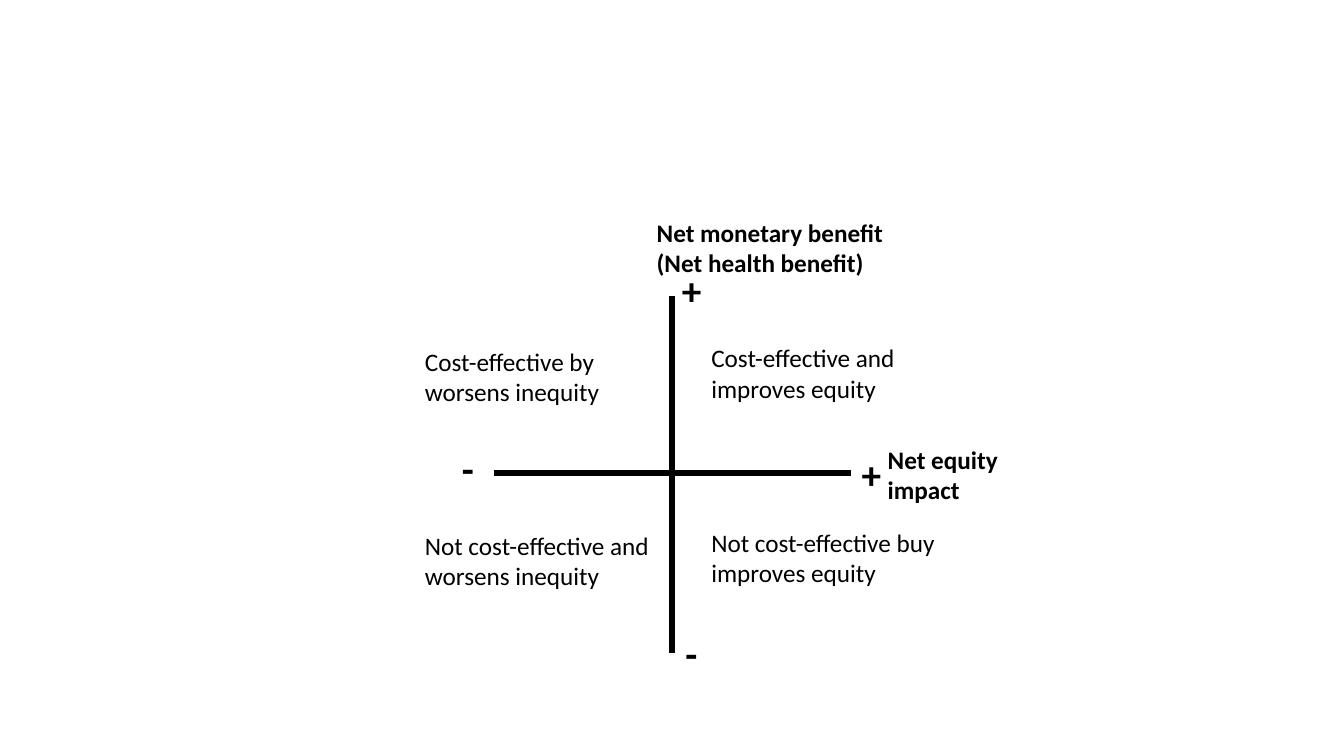
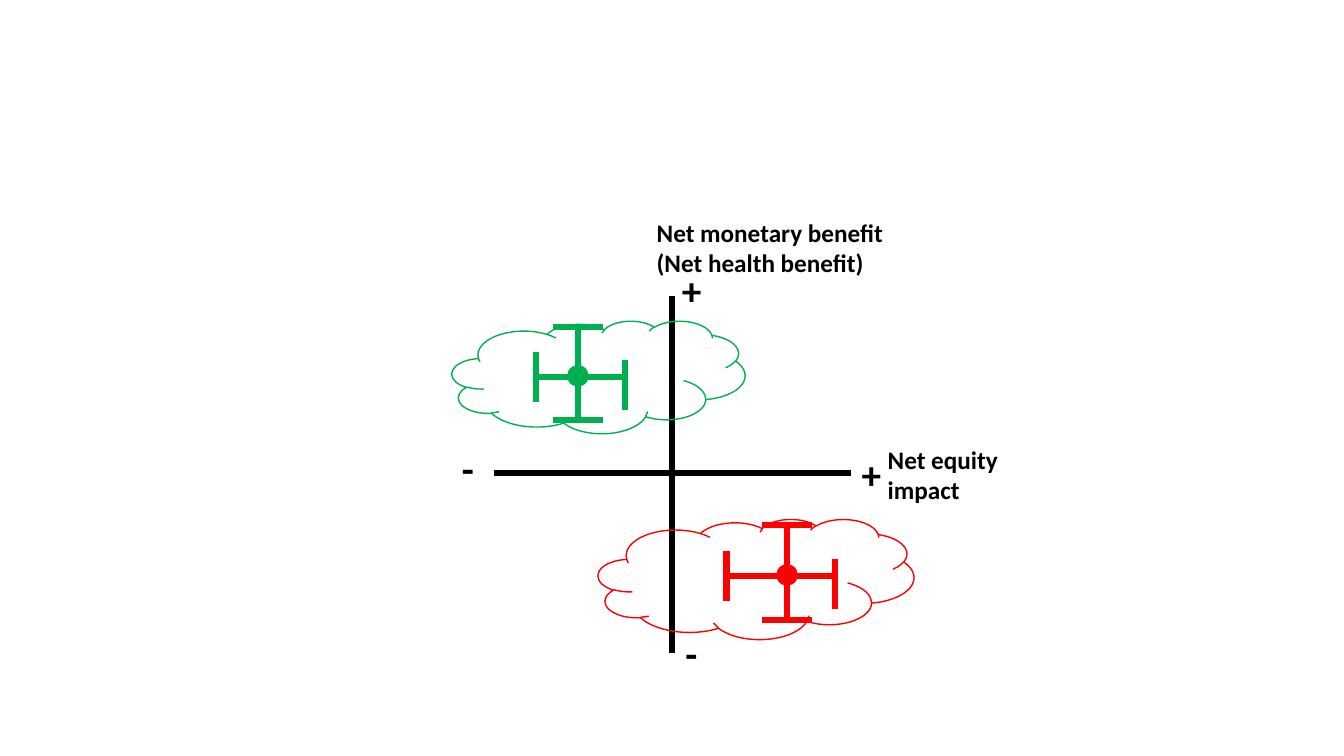
from dataclasses import dataclass
from typing import NamedTuple

from lxml.etree import SubElement
from pptx import Presentation
from pptx.dml.color import RGBColor
from pptx.enum.shapes import MSO_CONNECTOR, MSO_SHAPE
from pptx.oxml.ns import qn
from pptx.slide import Slide
from pptx.util import Inches, Pt

COLUMNS, ROWS = 160, 90
SLIDE_WIDTH, SLIDE_HEIGHT = Inches(13.33), Inches(7.5)


@dataclass(frozen=True)
class Theme:
    font: str = "Calibri"
    ink: RGBColor = RGBColor(0, 0, 0)
    green: RGBColor = RGBColor(0, 0xB0, 0x50)
    red: RGBColor = RGBColor(0xFF, 0, 0)
    label_size: int = 18
    sign_size: int = 28
    thick_line: float = 4.5
    thin_line: float = 1


THEME = Theme()


class Box(NamedTuple):
    """A rectangle in grid columns and rows."""
    left: float
    top: float
    width: float
    height: float

    def lengths(self) -> tuple[int, int, int, int]:
        return (column(self.left), row(self.top),
                column(self.width), row(self.height))


class Label(NamedTuple):
    text: str
    left: float
    top: float
    width: float = 31
    height: float = 8.5
    size: int = THEME.label_size
    bold: bool = False


class Estimate(NamedTuple):
    """A point with error bars in both directions, inside a cloud."""
    color: RGBColor
    x: float
    y: float
    left: float
    right: float
    top: float
    bottom: float
    cloud: Box


def sign(text: str, left: float, top: float) -> Label:
    return Label(text, left, top, 6.4, 6.8, THEME.sign_size, True)


AXIS_LABELS = (
    Label("Net monetary benefit\n(Net health benefit)", 77, 25.3, bold=True),
    sign("+", 80, 31.1),
    sign("-", 80.4, 74.3),
    Label("Net equity impact", 104.5, 52.3, width=18, bold=True),
    sign("+", 101.4, 53),
    sign("-", 53.8, 52.3),
)
QUADRANT_LABELS = (
    Label("Cost-effective and improves equity", 83.5, 40.2),
    Label("Cost-effective by worsens inequity", 49.4, 40.6),
    Label("Not cost-effective buy improves equity", 83.5, 62.2),
    Label("Not cost-effective and worsens inequity", 49.4, 62.5),
)
ESTIMATES = (
    Estimate(THEME.green, 68.8, 44.9, 63.8, 74.4, 38.9, 50,
             Box(53.8, 38.2, 34.9, 13.4)),
    Estimate(THEME.red, 93.7, 68.6, 86.5, 99.4, 62.5, 73.8,
             Box(71.2, 61.8, 37.6, 14.3)),
)
CAP_REACH = 3
RIGHT_CAP_DROP = 0.95
DOT_SIZE = 2.4


def column(count: float) -> int:
    return round(SLIDE_WIDTH * count / COLUMNS)


def row(count: float) -> int:
    return round(SLIDE_HEIGHT * count / ROWS)


def add_line(slide: Slide, x1: float, y1: float, x2: float, y2: float,
             color: RGBColor) -> None:
    connector = slide.shapes.add_connector(
        MSO_CONNECTOR.STRAIGHT, column(x1), row(y1), column(x2), row(y2))
    connector.line.color.rgb = color
    connector.line.width = Pt(THEME.thick_line)
    SubElement(connector.element.spPr, qn("a:effectLst"))


def add_shape(slide: Slide, kind: MSO_SHAPE, box: Box, color: RGBColor,
              filled: bool) -> None:
    shape = slide.shapes.add_shape(kind, *box.lengths())
    shape.shadow.inherit = False
    shape.line.color.rgb = color
    shape.line.width = Pt(THEME.thin_line)
    if filled:
        shape.fill.solid()
        shape.fill.fore_color.rgb = color
    else:
        shape.fill.background()


def add_label(slide: Slide, label: Label) -> None:
    box = Box(label.left, label.top, label.width, label.height)
    frame = slide.shapes.add_textbox(*box.lengths()).text_frame
    frame.word_wrap = True
    frame.text = label.text
    for paragraph in frame.paragraphs:
        font = paragraph.font
        font.name = THEME.font
        font.size = Pt(label.size)
        font.bold = label.bold
        font.color.rgb = THEME.ink


def add_estimate(slide: Slide, estimate: Estimate) -> None:
    color, x, y, left, right, top, bottom, cloud = estimate
    add_shape(slide, MSO_SHAPE.CLOUD, cloud, color, filled=False)
    add_line(slide, x, top, x, bottom, color)
    add_line(slide, left, y, right, y, color)
    for cap_y in (top, bottom):
        add_line(slide, x - CAP_REACH, cap_y, x + CAP_REACH, cap_y, color)
    for cap_x, middle in ((left, y), (right, y + RIGHT_CAP_DROP)):
        add_line(slide, cap_x, middle - CAP_REACH,
                 cap_x, middle + CAP_REACH, color)
    dot = Box(x - DOT_SIZE / 2, y - DOT_SIZE / 2 - 0.15, DOT_SIZE, DOT_SIZE)
    add_shape(slide, MSO_SHAPE.OVAL, dot, color, filled=True)


def add_plane_slide(presentation: Presentation) -> Slide:
    """Add a slide with the two axes and their labels."""
    slide = presentation.slides.add_slide(presentation.slide_layouts[6])
    add_line(slide, 80, 35.3, 80, 77.8, THEME.ink)
    add_line(slide, 58.8, 56.3, 101.3, 56.3, THEME.ink)
    for label in AXIS_LABELS:
        add_label(slide, label)
    return slide


def main() -> None:
    presentation = Presentation()
    presentation.slide_width = SLIDE_WIDTH
    presentation.slide_height = SLIDE_HEIGHT

    quadrants = add_plane_slide(presentation)
    for label in QUADRANT_LABELS:
        add_label(quadrants, label)

    uncertainty = add_plane_slide(presentation)
    for estimate in ESTIMATES:
        add_estimate(uncertainty, estimate)

    presentation.save("out.pptx")


if __name__ == "__main__":
    main()
